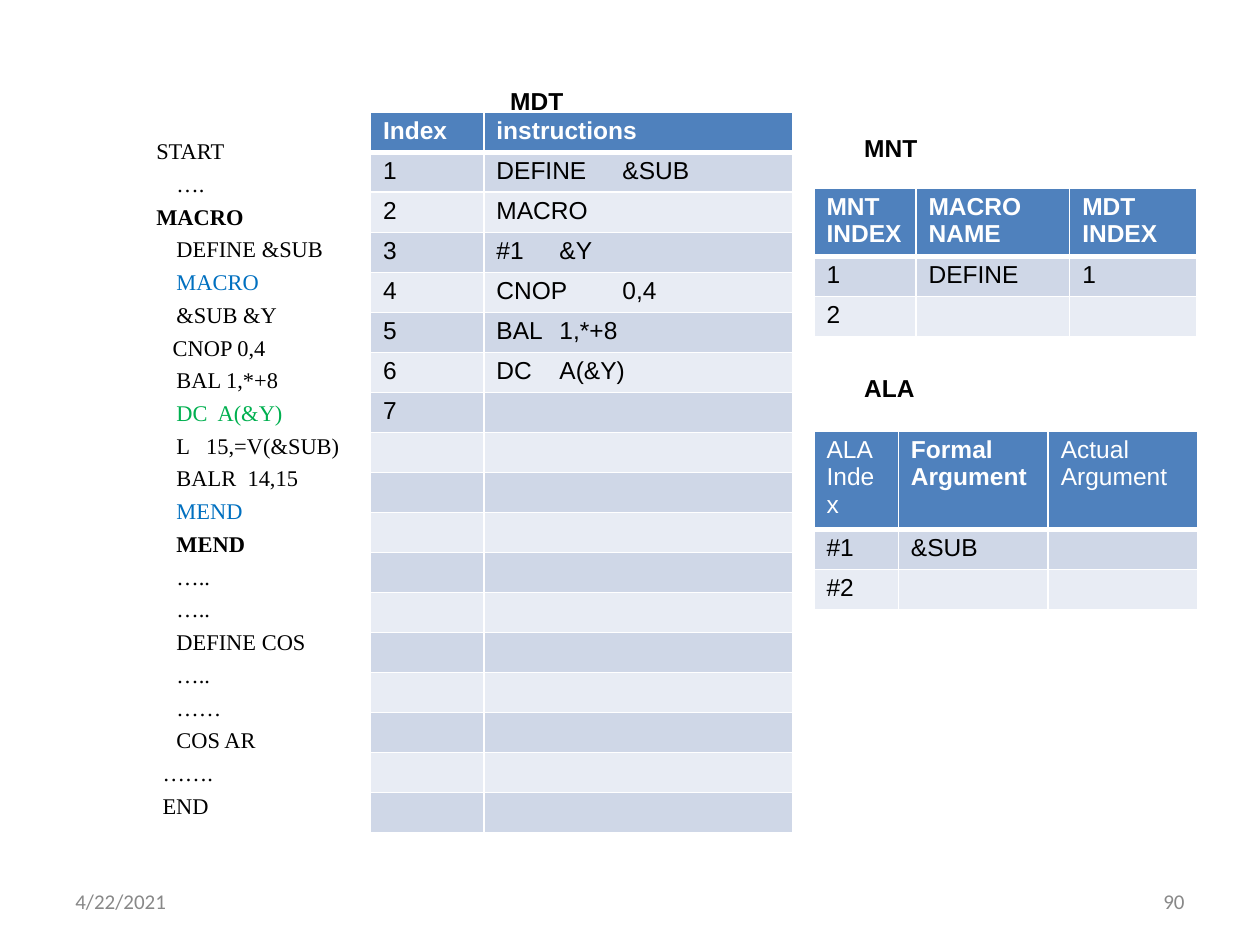
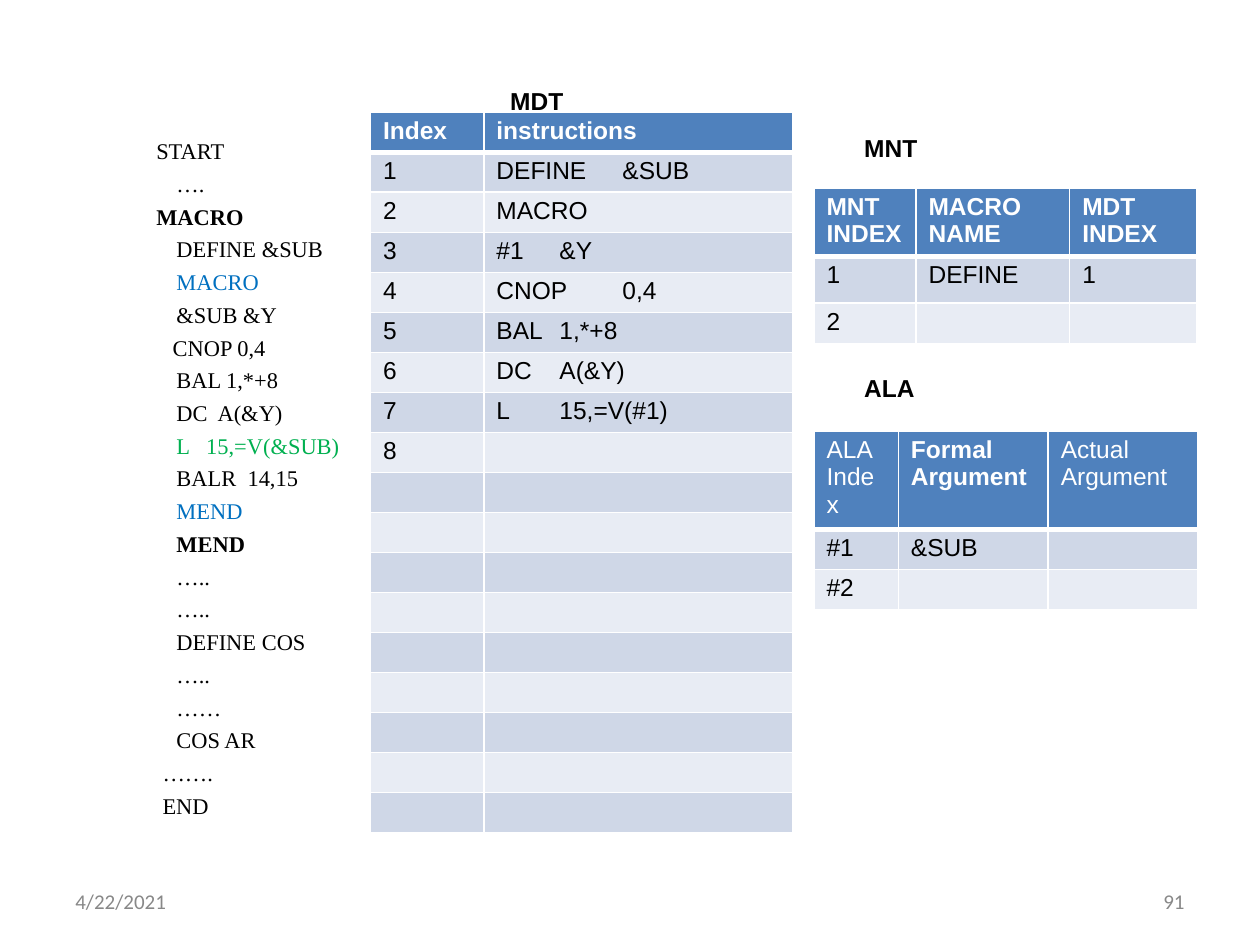
from dataclasses import dataclass

from pptx import Presentation
from pptx.dml.color import RGBColor as Rgb
from pptx.enum.text import MSO_ANCHOR as Anchor, MSO_AUTO_SIZE as AutoSize, PP_ALIGN as Align
from pptx.oxml.xmlchemy import OxmlElement as make_element
from pptx.util import Inches, Pt

GRID_COLUMNS, GRID_ROWS = 100, 75


@dataclass(frozen=True)
class Theme:
    ink: str = "000000"
    paper: str = "FFFFFF"
    header: str = "4F81BD"
    bands: tuple = ("CFD7E7", "E8ECF4")
    inner_macro: str = "0070C0"
    current: str = "00B050"
    muted: str = "888888"
    table_font: str = "Arial"
    code_font: str = "Times New Roman"
    footer_font: str = "Calibri"
    table_size: float = 14
    code_size: float = 12.8
    footer_size: float = 12
    thin: float = 1
    thick: float = 3
    cell_margin: float = 0.04


def add_child(parent, tag, **attributes):
    child = make_element(tag)
    for key, value in attributes.items():
        child.set(key, str(value))
    parent.append(child)
    return child


def write(paragraph, text, font, size, color, bold=False, align=None):
    run = paragraph.add_run()
    run.text = text
    run.font.name, run.font.size, run.font.bold = font, Pt(size), bold
    run.font.color.rgb = Rgb.from_string(color)
    if align is not None:
        paragraph.alignment = align


class Deck:
    """Holds the theme, the grid and the slide being filled."""

    def __init__(self, theme):
        self.theme = theme
        self.show = Presentation()
        self.show.slide_width, self.show.slide_height = Inches(10), Inches(7.5)
        self.slide = None

    def new_slide(self):
        self.slide = self.show.slides.add_slide(self.show.slide_layouts[1])
        heading = self.slide.shapes.title.element
        heading.getparent().remove(heading)

    def across(self, columns):
        return round(self.show.slide_width * columns / GRID_COLUMNS)

    def down(self, rows):
        return round(self.show.slide_height * rows / GRID_ROWS)

    def area(self, left, top, width, height):
        return self.across(left), self.down(top), self.across(width), self.down(height)

    def label(self, text, area, anchor=Anchor.TOP, **style):
        frame = self.slide.shapes.add_textbox(*self.area(*area)).text_frame
        frame.word_wrap, frame.vertical_anchor = True, anchor
        write(frame.paragraphs[0], text, **style)

    def caption(self, text, area):
        self.label(text, area, font=self.theme.table_font, size=self.theme.table_size,
                   color=self.theme.ink, bold=True)

    def footer(self, date, number):
        style = dict(anchor=Anchor.MIDDLE, font=self.theme.footer_font,
                     size=self.theme.footer_size, color=self.theme.muted)
        self.label(date, (5, 69.5, 23.3, 4), **style)
        self.label(number, (71.7, 69.5, 23.3, 4), align=Align.RIGHT, **style)

    def listing(self, lines, area, current):
        """Fill the body with code lines, marking the one being processed."""
        body = self.slide.placeholders[1]
        body.left, body.top, body.width, body.height = self.area(*area)
        frame = body.text_frame
        frame.auto_size = AutoSize.NONE
        for position, line in enumerate(lines):
            paragraph = frame.paragraphs[0] if position == 0 else frame.add_paragraph()
            paragraph.line_spacing, paragraph.space_before = 0.8, Pt(6.4)
            properties = paragraph._p.get_or_add_pPr()
            properties.set("marL", "0")
            properties.set("indent", str(self.across(line.indent)))
            add_child(properties, "a:buNone")
            color = self.theme.inner_macro if line.inner else self.theme.ink
            write(paragraph, line.text, font=self.theme.code_font, size=self.theme.code_size,
                  color=self.theme.current if line.text == current else color, bold=line.bold)

    def table(self, corner, widths, heights, rows, light_headings=()):
        area = self.area(*corner, sum(widths), sum(heights))
        grid = self.slide.shapes.add_table(len(rows), len(widths), *area).table
        for column, width in zip(grid.columns, widths):
            column.width = self.across(width)
        for row, height in zip(grid.rows, heights):
            row.height = self.down(height)
        for r, row in enumerate(rows):
            for c, text in enumerate(row):
                cell = grid.cell(r, c)
                cell.margin_top = cell.margin_bottom = Inches(self.theme.cell_margin)
                self.borders(cell, r)
                cell.fill.solid()
                fill = self.theme.bands[(r - 1) % 2] if r else self.theme.header
                cell.fill.fore_color.rgb = Rgb.from_string(fill)
                paragraph = cell.text_frame.paragraphs[0]
                if not text:
                    add_child(paragraph._p, "a:endParaRPr", sz=self.theme.table_size * 100)
                    continue
                write(paragraph, text, font=self.theme.table_font, size=self.theme.table_size,
                      color=self.theme.ink if r else self.theme.paper,
                      bold=r == 0 and text not in light_headings)

    def borders(self, cell, row):
        thick_side = {0: "B", 1: "T"}.get(row)
        properties = cell._tc.get_or_add_tcPr()
        for side in "LRTB":
            weight = self.theme.thick if side == thick_side else self.theme.thin
            line = add_child(properties, f"a:ln{side}", w=Pt(weight))
            add_child(add_child(line, "a:solidFill"), "a:srgbClr", val=self.theme.paper)


@dataclass(frozen=True)
class Line:
    text: str
    indent: float = 5
    bold: bool = False
    inner: bool = False


STORE_ADDRESS, LOAD_ROUTINE = "DC  A(&Y)", "L   15,=V(&SUB)"
PROGRAM = [
    Line("START", 3.4), Line("…."), Line("MACRO", 3.4, bold=True), Line("DEFINE &SUB"),
    Line("MACRO", inner=True), Line("&SUB &Y"), Line("CNOP 0,4", 4.7), Line("BAL 1,*+8"),
    Line(STORE_ADDRESS), Line(LOAD_ROUTINE), Line("BALR  14,15"),
    Line("MEND", inner=True), Line("MEND", bold=True),
    Line("….."), Line("….."), Line("DEFINE COS"), Line("….."), Line("……"), Line("COS AR"),
    Line("…….", 3.9), Line("END", 3.9),
]
# operation and operand meet at the one-inch default tab stop
INSTRUCTIONS = ["DEFINE\t&SUB", "MACRO", "#1\t&Y", "CNOP\t0,4", "BAL\t1,*+8",
                "DC\tA(&Y)", "L\t15,=V(#1)"]
MDT_ROWS = 17
ROW_HEIGHT = 3.18
MNT = [("MNT INDEX", "MACRO NAME", "MDT INDEX"), ("1", "DEFINE", "1"), ("2", "", "")]
ALA = [("ALA Index", "Formal Argument", "Actual Argument"), ("#1", "&SUB", ""), ("#2", "", "")]

# slide number, line being processed, instructions stored so far, height of first MNT row
STEPS = [("90", STORE_ADDRESS, 6, ROW_HEIGHT), ("91", LOAD_ROUTINE, 7, 3.7)]


def definition_rows(stored):
    """Stored instructions, the next free index, then empty rows."""
    rows = [(str(i), text) for i, text in enumerate(INSTRUCTIONS[:stored], 1)]
    rows.append((str(stored + 1), ""))
    return [("Index", "instructions"), *rows, *[("", "")] * (MDT_ROWS - len(rows))]


def main():
    deck = Deck(Theme())
    for number, current, stored, mnt_row in STEPS:
        deck.new_slide()
        deck.listing(PROGRAM, (8, 10.8, 87, 56.2), current)
        deck.footer("4/22/2021", number)
        deck.table((29.4, 8.9), (9, 24.5), [ROW_HEIGHT] * (MDT_ROWS + 1),
                   definition_rows(stored))
        deck.table((64.6, 14.9), (8.1, 12.2, 10.1), (5.4, mnt_row, ROW_HEIGHT), MNT)
        deck.table((64.6, 34.2), (6.7, 11.9, 11.9), (7.4, ROW_HEIGHT, ROW_HEIGHT), ALA,
                   light_headings=("ALA Index", "Actual Argument"))
        deck.caption("MDT", (39.5, 6.3, 12.5, 3.4))
        deck.caption("MNT", (67.6, 10.1, 12.9, 3.4))
        deck.caption("ALA", (67.6, 29.1, 12.9, 3.4))
    deck.show.save("out.pptx")


if __name__ == "__main__":
    main()
